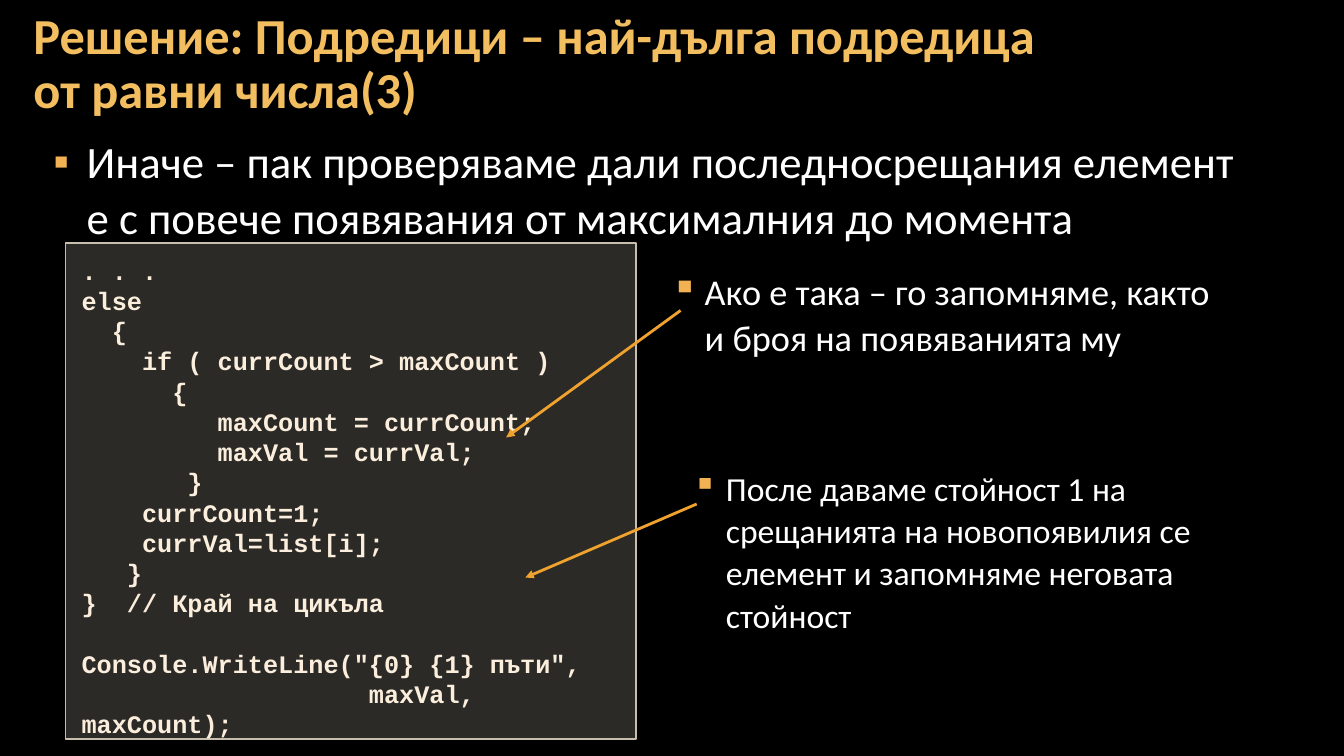
"""Build a slide that explains the last step of the longest equal run search."""
from dataclasses import dataclass

from lxml.etree import SubElement as Sub
from pptx import Presentation
from pptx.dml.color import RGBColor as RGB
from pptx.enum.shapes import MSO_CONNECTOR as LINE, MSO_SHAPE as SHAPE
from pptx.enum.text import MSO_ANCHOR as ANCHOR, MSO_AUTO_SIZE as FIT, PP_ALIGN as ALIGN
from pptx.oxml.ns import qn
from pptx.util import Inches, Pt


@dataclass(frozen=True)
class Theme:
    back: str = "000000"
    title: str = "F3BE60"
    text: str = "FFFFFF"
    bullet: str = "F2B254"
    code: str = "FBEEDC"
    panel: str = "D9D5C7"
    edge: str = "C7BFAC"
    arrow: str = "F0A22E"
    font: str = "Calibri"
    mono: str = "Courier New"
    head_pt: float = 36
    body_pt: float = 32
    note_pt: float = 25.9
    small_pt: float = 24
    code_pt: float = 18
    code_gap: float = 21.6


theme = Theme()


def write(frame, lines, size, color=theme.text, font=theme.font, bold=False,
          space=1.05, gap=0, bullet=False, pad=(0.12, 0.04), anchor=ANCHOR.TOP):
    """Fill a frame with (indent in inches, space before, text) lines."""
    frame.word_wrap, frame.auto_size = True, FIT.NONE
    frame.vertical_anchor = anchor
    frame.margin_left = frame.margin_right = Inches(pad[0])
    frame.margin_top = frame.margin_bottom = Inches(pad[1])
    for i, (indent, before, text) in enumerate(lines):
        para = frame.paragraphs[0] if i == 0 else frame.add_paragraph()
        para.alignment = ALIGN.LEFT
        para.line_spacing = space
        para.space_before, para.space_after = Pt(before), Pt(gap)
        props = para._p.get_or_add_pPr()
        props.set("marL", str(Inches(0.33) if bullet else 0))
        props.set("indent", str(Inches(indent)))
        if bullet:
            Sub(Sub(props, qn("a:buClr")), qn("a:srgbClr"), val=theme.bullet)
            Sub(props, qn("a:buChar"), char="▪")
        run = para.add_run()
        run.text = text
        run.font.name, run.font.size, run.font.bold = font, Pt(size), bold
        run.font.color.rgb = RGB.from_string(color)


deck = Presentation()
deck.slide_width, deck.slide_height = Inches(13.33), Inches(7.5)
slide = deck.slides.add_slide(deck.slide_layouts[1])
slide.background.fill.solid()
slide.background.fill.fore_color.rgb = RGB.from_string(theme.back)
shapes = slide.shapes

title, body = shapes.title, slide.placeholders[1]
title.left, title.top, title.width, title.height = map(Inches, (0.21, 0.04, 10.47, 1.21))
write(title.text_frame, [(0, 0, "Решение: Подредици – най-дълга подредица от равни числа(3)")],
      theme.head_pt, theme.title, bold=True, space=0.9, anchor=ANCHOR.MIDDLE)

body.left, body.top, body.width, body.height = map(Inches, (0.41, 1.26, 12.21, 1.82))
lead = "Иначе – пак проверяваме дали последносрещания елемент е с повече появявания от максимaлния до момента"
write(body.text_frame, [(-0.33, 6, lead)], theme.body_pt, gap=6, bullet=True)

panel = shapes.add_shape(SHAPE.RECTANGLE, *map(Inches, (0.65, 2.41, 5.66, 4.92)))
panel.shadow.inherit = False
panel.fill.solid()
panel.fill.fore_color.rgb = RGB.from_string(theme.panel)
tint = panel._element.spPr.find(qn("a:solidFill"))[0]
Sub(tint, qn("a:alpha"), val="20000")
panel.line.color.rgb = RGB.from_string(theme.edge)
panel.line.width = Pt(1)

code = [
    (0, 0, ". . ."),
    (0, 0, "else"),
    (2, 0, "{"),
    (4, 0, "if ( currCount > maxCount )"),
    (6, 0, "{"),
    (9, 0, "maxCount = currCount;"),
    (9, 0, "maxVal = currVal;"),
    (7, 0, "}"),
    (4, 0, "currCount=1;"),
    (4, 0, "currVal=list[i];"),
    (3, 0, "}"),
    (0, 0, "}  // Край на цикъла"),
    (0, theme.code_gap, 'Console.WriteLine("{0} {1} пъти",'),
    (19, 0, "maxVal, maxCount);"),
]
write(panel.text_frame, [(col * 0.15, before, text) for col, before, text in code],
      theme.code_pt, theme.code, theme.mono, bold=True,
      space=Pt(theme.code_gap), pad=(0.16, 0.12))

for ends in [(6.75, 3.08, 5.02, 4.34), (6.91, 5, 5.21, 5.73)]:
    arrow = shapes.add_connector(LINE.STRAIGHT, *map(Inches, ends))
    arrow.line.color.rgb = RGB.from_string(theme.arrow)
    arrow.line.width = Pt(2)
    Sub(arrow.line._get_or_add_ln(), qn("a:tailEnd"), type="triangle")
    Sub(arrow._element.spPr, qn("a:effectLst"))

notes = [
    ((6.54, 2.61, 5.84, 1.33), theme.note_pt,
     "Ако е така – го запомняме, както и броя на появяванията му"),
    ((6.75, 4.58, 5.63, 2.44), theme.small_pt,
     "После даваме стойност 1 на срещанията на новопоявилия се елемент и запомняме неговата стойност"),
]
for place, size, text in notes:
    note = shapes.add_textbox(*map(Inches, place))
    write(note.text_frame, [(-0.33, 6, text)], size, gap=6, bullet=True)

deck.save("out.pptx")
